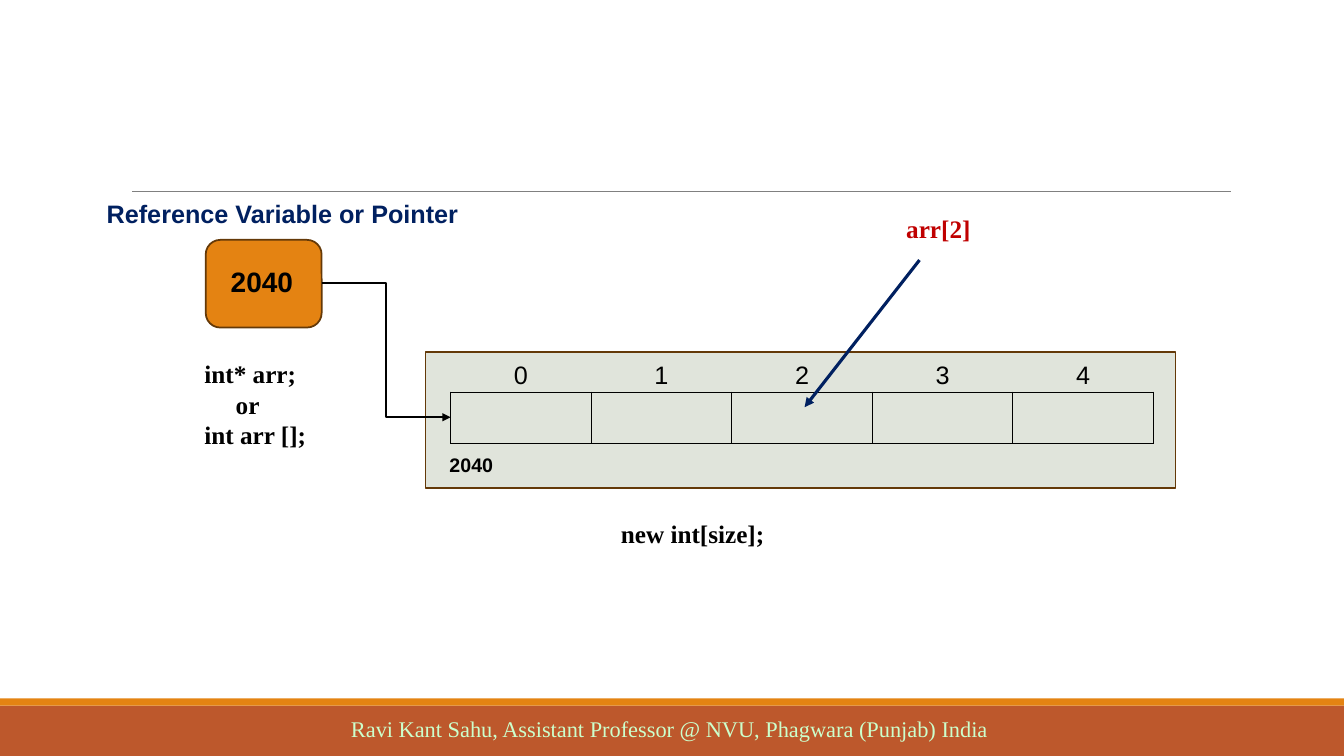
from lxml.etree import SubElement
from pptx import Presentation
from pptx.dml.color import RGBColor
from pptx.enum.shapes import MSO_CONNECTOR as Connector, MSO_SHAPE as Shape
from pptx.enum.text import MSO_ANCHOR as Anchor, PP_ALIGN as Align
from pptx.oxml.ns import qn
from pptx.util import Inches, Pt

WIDTH, HEIGHT = 13.33, 7.5
SERIF, SANS = "Times New Roman", "Arial"
BLACK, NAVY, ORANGE, BROWN = "000000", "002060", "E48312", "643908"

# The array: five equal cells in one row
ARRAY_LEFT, ARRAY_TOP, ARRAY_WIDTH, ARRAY_HEIGHT = 4.47, 3.89, 6.97, 0.51
CELLS = 5
CELL_WIDTH = ARRAY_WIDTH / CELLS

presentation = Presentation()
presentation.slide_width, presentation.slide_height = Inches(WIDTH), Inches(HEIGHT)
slide = presentation.slides.add_slide(presentation.slide_layouts[6])


def color(hex_string):
    return RGBColor.from_string(hex_string)


def add_text(text, left, top, width, height=0.4, size=18, font=SANS, fill=BLACK,
             bold=True, align=Align.LEFT, anchor=Anchor.TOP):
    """Add a text box with one paragraph per line and return its text frame."""
    frame = slide.shapes.add_textbox(*map(Inches, (left, top, width, height))).text_frame
    frame.word_wrap, frame.vertical_anchor = True, anchor
    frame.text = text
    for paragraph in frame.paragraphs:
        paragraph.alignment = align
        style = paragraph.runs[0].font
        style.name, style.size, style.bold = font, Pt(size), bold
        style.color.rgb = color(fill)
    return frame


# Filled boxes: footer band, accent stripe, pointer variable, memory block
for kind, box, fill, outline in [
    (Shape.RECTANGLE, (0, 7, WIDTH, 0.5), "BD582C", None),
    (Shape.RECTANGLE, (0, 6.93, WIDTH, 0.07), ORANGE, None),
    (Shape.ROUNDED_RECTANGLE, (2.04, 2.38, 1.15, 0.87), ORANGE, BROWN),
    (Shape.RECTANGLE, (4.22, 3.49, 7.44, 1.35), "E0E4DB", BROWN),
]:
    shape = slide.shapes.add_shape(kind, *map(Inches, box))
    shape.shadow.inherit = False
    shape.fill.solid()
    shape.fill.fore_color.rgb = color(fill)
    if outline:
        shape.line.color.rgb = color(outline)
        shape.line.width = Pt(1.25)
    else:
        shape.line.fill.background()

# Array cells
array = slide.shapes.add_table(
    1, CELLS, *map(Inches, (ARRAY_LEFT, ARRAY_TOP, ARRAY_WIDTH, ARRAY_HEIGHT))).table
array.first_row = array.horz_banding = False
for column in array.columns:
    column.width = Inches(CELL_WIDTH)
for cell in array.iter_cells():
    properties = cell._tc.get_or_add_tcPr()
    for side in ("a:lnL", "a:lnR", "a:lnT", "a:lnB"):
        border = SubElement(properties, qn(side), w=str(Pt(1)))
        SubElement(SubElement(border, qn("a:solidFill")), qn("a:srgbClr"), val=BLACK)
    cell.fill.background()

# Indexes, each on a centred tab stop above its cell
indexes = add_text("".join(f"\t{index}" for index in range(CELLS)),
                   ARRAY_LEFT, 3.52, ARRAY_WIDTH, bold=False)
indexes.margin_left = indexes.margin_right = 0
tab_stops = SubElement(indexes.paragraphs[0]._p.get_or_add_pPr(), qn("a:tabLst"))
for index in range(CELLS):
    SubElement(tab_stops, qn("a:tab"), pos=str(Inches((index + 0.5) * CELL_WIDTH)), algn="ctr")

# Labels
add_text("Ravi Kant Sahu, Assistant Professor @ NVU, Phagwara (Punjab) India",
         1.08, 6.98, 11.12, 0.5, size=16, font=SERIF, fill="CCFFCC", bold=False,
         align=Align.CENTER, anchor=Anchor.MIDDLE)
add_text("Reference Variable or Pointer", 0.96, 1.92, 3.9, fill=NAVY)
add_text("2040", 2.19, 2.58, 0.92, size=20)
add_text("2040", 4.36, 4.44, 0.8, 0.34, size=14)
add_text("new int[size];", 6.06, 5.09, 2.38, font=SERIF)
add_text("arr[2]", 8.89, 2.07, 1, font=SERIF, fill="C00000")
declaration = add_text("int* arr;\nor\nint arr [];", 1.93, 3.51, 1.4, 1.01, font=SERIF)
declaration.paragraphs[1]._p.get_or_add_pPr().set("marL", str(Inches(0.31)))

# Title rule, pointer to the array, pointer to element 2
for kind, ends, stroke, weight, arrow in [
    (Connector.STRAIGHT, (1.31, 1.9, 12.21, 1.9), "808080", 0.5, False),
    (Connector.ELBOW, (3.19, 2.81, ARRAY_LEFT, 4.14), BLACK, 1.5, True),
    (Connector.STRAIGHT, (9.12, 2.58, 7.98, 4.04), NAVY, 2.25, True),
]:
    line = slide.shapes.add_connector(kind, *map(Inches, ends))
    line.line.color.rgb = color(stroke)
    line.line.width = Pt(weight)
    if arrow:
        SubElement(line.line._get_or_add_ln(), qn("a:tailEnd"), type="triangle")
    SubElement(line._element.spPr, qn("a:effectLst"))

presentation.save("out.pptx")
